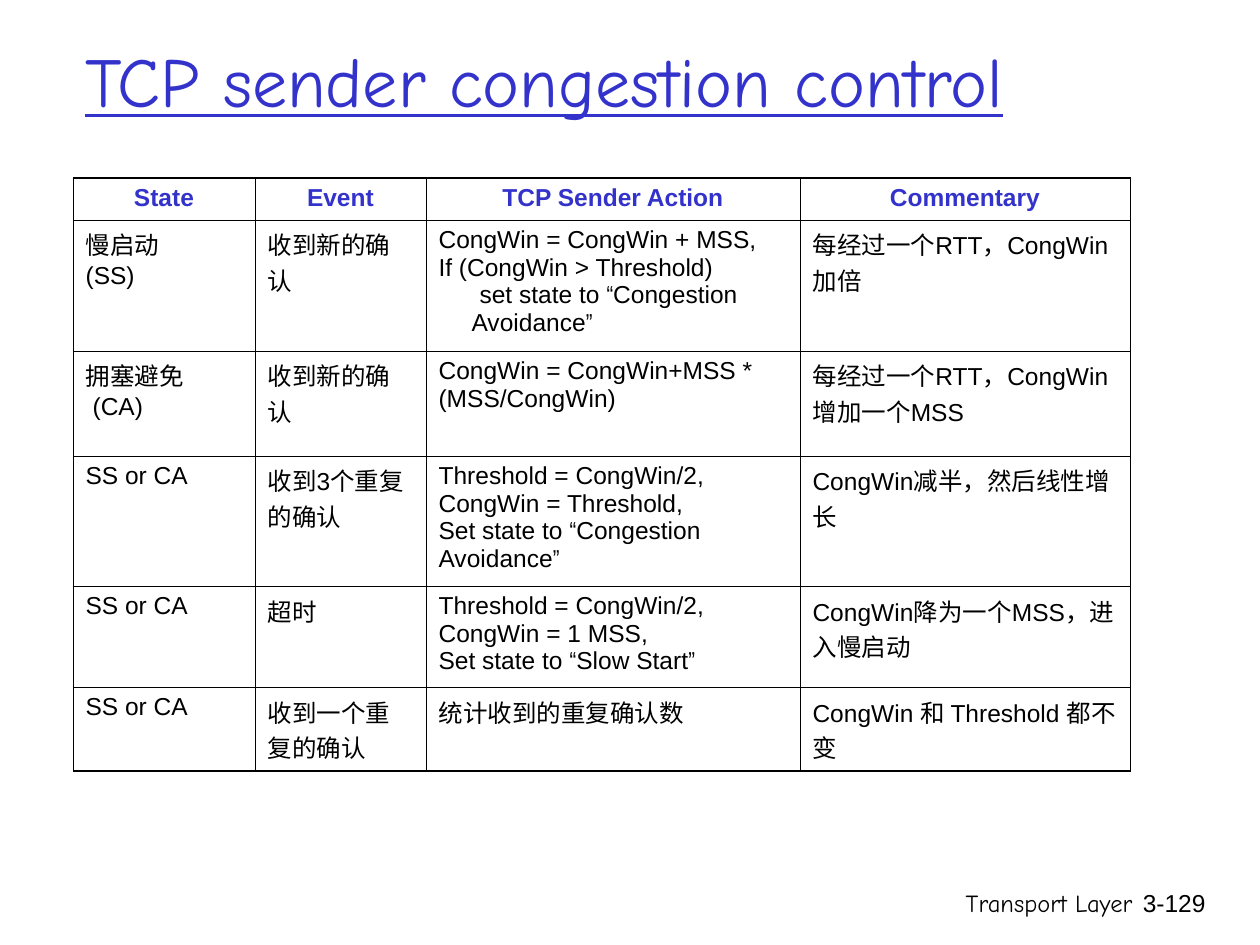
import itertools

import lxml.etree
import pptx
import pptx.dml.color
import pptx.enum.text
import pptx.oxml.ns
import pptx.util

PX = pptx.util.Inches(1) // 126
ALIGN = pptx.enum.text.PP_ALIGN
COLORS = {"accent": "3333CC", "text": "000000", "border": "000000"}
BODY = {"name": "Arial", "size": pptx.util.Pt(14)}
HEADER = {**BODY, "bold": True}
TITLE = {"name": "Comic Neue", "size": pptx.util.Pt(40), "underline": True}


def write_paragraph(paragraph, text, font_format, color, align):
    """Write one paragraph, with curly quotes in the narrow face."""
    paragraph.alignment = align
    for is_quote, letters in itertools.groupby(text, lambda letter: letter in "“”"):
        run = paragraph.add_run()
        run.text = "".join(letters)
        for key, value in font_format.items():
            setattr(run.font, key, value)
        if is_quote:
            run.font.name = "Arial Narrow"
        run.font.color.rgb = pptx.dml.color.RGBColor.from_string(COLORS[color])


def add_border(cell, side, width):
    """Add a solid line on one side of a cell."""
    line = lxml.etree.SubElement(
        cell._tc.get_or_add_tcPr(), pptx.oxml.ns.qn(f"a:ln{side}"),
        w=str(pptx.util.Pt(width)))
    fill = lxml.etree.SubElement(line, pptx.oxml.ns.qn("a:solidFill"))
    lxml.etree.SubElement(fill, pptx.oxml.ns.qn("a:srgbClr"), val=COLORS["border"])


presentation = pptx.Presentation()
presentation.slide_width = 1260 * PX
presentation.slide_height = 945 * PX
slide = presentation.slides.add_slide(presentation.slide_layouts[6])

# Footer, page number and title
ANCHOR = pptx.enum.text.MSO_ANCHOR
labels = [
    ("Transport Layer", (746, 882, 399, 63), {**BODY, "name": "Comic Neue"},
     "text", ALIGN.RIGHT, ANCHOR.TOP),
    ("3-129", (1125, 882, 93, 63), BODY, "text", ALIGN.RIGHT, ANCHOR.TOP),
    ("TCP sender congestion control", (73, 0, 1071, 158), TITLE,
     "accent", ALIGN.LEFT, ANCHOR.MIDDLE),
]
for text, box, font_format, color, align, anchor in labels:
    label = slide.shapes.add_textbox(*(length * PX for length in box)).text_frame
    label.word_wrap = True
    label.vertical_anchor = anchor
    write_paragraph(label.paragraphs[0], text, font_format, color, align)

# Table content: each cell is a list of paragraphs
rows = [
    [["State"], ["Event"], ["TCP Sender Action"], ["Commentary"]],
    [["慢启动", "(SS)"], ["收到新的确认"],
     ["CongWin = CongWin + MSS,", "If (CongWin > Threshold)",
      "set state to “Congestion Avoidance”"],
     ["每经过一个RTT，CongWin加倍"]],
    [["拥塞避免", "(CA)"], ["收到新的确认"],
     ["CongWin = CongWin+MSS * (MSS/CongWin)"],
     ["每经过一个RTT，CongWin增加一个MSS"]],
    [["SS or CA"], ["收到3个重复的确认"],
     ["Threshold = CongWin/2,", "CongWin = Threshold,",
      "Set state to “Congestion Avoidance”"],
     ["CongWin减半，然后线性增长"]],
    [["SS or CA"], ["超时"],
     ["Threshold = CongWin/2,", "CongWin = 1 MSS,", "Set state to “Slow Start”"],
     ["CongWin降为一个MSS，进入慢启动"]],
    [["SS or CA"], ["收到一个重复的确认"], ["统计收到的重复确认数"],
     ["CongWin 和 Threshold 都不变"]],
]
column_widths = [182, 171, 374, 330]
row_heights = [42, 131, 105, 130, 101, 84]
serif_cells = {(2, 1), (5, 1)}
# Left margin and first-line indent, by the text they apply to
indents = {"set state to “Congestion Avoidance”": (33, 8), "(CA)": (0, 7)}

# Table frame
actions = slide.shapes.add_table(
    len(rows), len(column_widths), 73 * PX, 178 * PX,
    sum(column_widths) * PX, sum(row_heights) * PX).table
actions.first_row = actions.horz_banding = False
for column, width in zip(actions.columns, column_widths):
    column.width = width * PX
for row, height in zip(actions.rows, row_heights):
    row.height = height * PX

# Table cells
for r, row in enumerate(rows):
    for c, paragraphs in enumerate(row):
        cell = actions.cell(r, c)
        borders = {"L": 0.34, "R": 0.34,
                   "T": 0.96 if r == 0 else 0.45,
                   "B": 0.96 if r == len(rows) - 1 else 0.45}
        for side, width in borders.items():
            add_border(cell, side, width)
        cell.fill.background()

        style = (HEADER, "accent", ALIGN.CENTER) if r == 0 else (BODY, "text", ALIGN.LEFT)
        if (r, c) in serif_cells:
            style = ({**BODY, "name": "Times New Roman"}, *style[1:])
        for i, text in enumerate(paragraphs):
            paragraph = cell.text_frame.paragraphs[0] if i == 0 else cell.text_frame.add_paragraph()
            write_paragraph(paragraph, text, *style)
            if text in indents:
                margin, first_line = indents[text]
                properties = paragraph._p.get_or_add_pPr()
                properties.set("marL", str(margin * PX))
                properties.set("indent", str(first_line * PX))

presentation.save("out.pptx")
